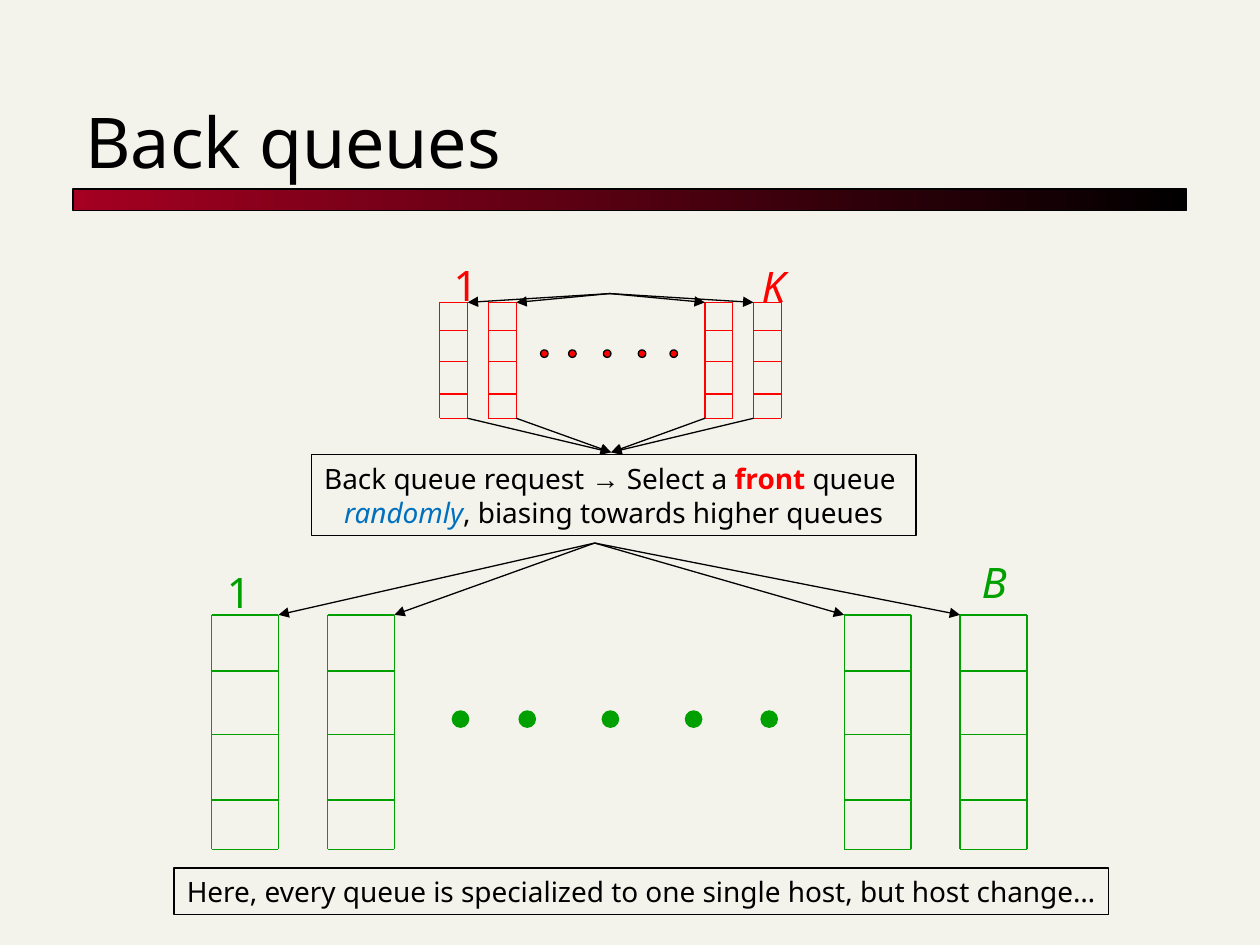
"""Build the "Back queues" slide: front queues feeding host-specific back queues."""
from pptx import Presentation, oxml, util as u
from pptx.dml.color import RGBColor
from pptx.enum import shapes, text
from pptx.oxml import ns

COLORS = {"paper": "F4F3EB", "black": "000000", "crimson": "A50021",
          "red": "FF0000", "green": "00A000", "blue": "0070C0"}
FONT = "Noto Sans"
COLUMNS = (0, 0.92, 5.02, 5.94)
COLUMN_WIDTH = 0.53
DOTS = (1.91, 2.44, 3.1, 3.76, 4.36)
DOT_LEVEL = 0.41
ROWS = (0, 0.24, 0.51, 0.79, 1)


def rgb(name):
    return RGBColor.from_string(COLORS[name])


def add_line(parent, start, end, color="black", arrow=False):
    s = parent.add_connector(shapes.MSO_CONNECTOR.STRAIGHT,
                             *(u.Inches(v) for v in (*start, *end)))
    s.line.color.rgb = rgb(color)
    s.line.width = u.Pt(0.75)
    if arrow:
        tail = oxml.parse_xml(f'<a:tailEnd {ns.nsdecls("a")} type="triangle"/>')
        s.line._get_or_add_ln().append(tail)
    s._element.spPr.append(oxml.parse_xml(f'<a:effectLst {ns.nsdecls("a")}/>'))


def add_shape(parent, kind, box, fill=None, line="black"):
    s = parent.add_shape(kind, *(u.Inches(v) for v in box))
    s.shadow.inherit = False
    if fill:
        s.fill.solid()
        s.fill.fore_color.rgb = rgb(fill)
    else:
        s.fill.background()
    s.line.color.rgb = rgb(line)
    s.line.width = u.Pt(0.75)
    return s


def write(s, paragraphs, size, align, anchor, fit=True):
    tf = s.text_frame
    tf.word_wrap = False
    tf.vertical_anchor = anchor
    if fit:
        tf.auto_size = text.MSO_AUTO_SIZE.SHAPE_TO_FIT_TEXT
    for i, runs in enumerate(paragraphs):
        p = tf.add_paragraph() if i else tf.paragraphs[0]
        p.alignment = align
        for words, color, style in runs:
            r = p.add_run()
            r.text = words
            r.font.size = u.Pt(size)
            r.font.name = "Arial" if words == "→" else FONT
            r.font.color.rgb = rgb(color)
            r.font.bold = style == "bold"
            r.font.italic = style == "italic"


def add_text(parent, box, words, size, color, align=text.PP_ALIGN.RIGHT,
             anchor=text.MSO_ANCHOR.TOP, style="", fit=True):
    s = parent.add_textbox(*(u.Inches(v) for v in box))
    write(s, [[(words, color, style)]], size, align, anchor, fit)


def add_box(parent, box, paragraphs):
    s = add_shape(parent, shapes.MSO_SHAPE.RECTANGLE, box)
    write(s, paragraphs, 16, text.PP_ALIGN.CENTER, text.MSO_ANCHOR.MIDDLE)


def add_title_bar(parent):
    s = add_shape(parent, shapes.MSO_SHAPE.RECTANGLE, (0.58, 1.5, 8.84, 0.17))
    s.fill.gradient()
    s.fill.gradient_angle = 0
    for stop, color, position in zip(s.fill.gradient_stops, ("crimson", "black"), (0, 1)):
        stop.color.rgb = rgb(color)
        stop.position = position


def add_queues(parent, left, top, span, height, color, dot, outline):
    """Draw four queues with dots between and return their inner edges."""
    scale = span / COLUMNS[-1]
    width = COLUMN_WIDTH * scale
    bottom = top + height
    inner = []
    for i, offset in enumerate(COLUMNS):
        x = left + offset * scale
        for side in (x, x + width):
            add_line(parent, (side, top), (side, bottom), color)
        for row in ROWS:
            y = top + row * height
            add_line(parent, (x, y), (x + width, y), color)
        inner.append(x + width if i < 2 else x)
    for offset in DOTS:
        add_shape(parent, shapes.MSO_SHAPE.OVAL,
                  (left + offset * scale, top + DOT_LEVEL * height, dot, dot), color, outline)
    return inner


def main():
    prs = Presentation()
    prs.slide_width, prs.slide_height = u.Inches(10), u.Inches(7.5)
    slide = prs.slides.add_slide(prs.slide_layouts[6])
    slide.background.fill.solid()
    slide.background.fill.fore_color.rgb = rgb("paper")
    canvas = slide.shapes

    add_title_bar(canvas)
    add_text(canvas, (0.58, 0.42, 8.83, 1.08), "Back queues", 40, "black",
             text.PP_ALIGN.LEFT, text.MSO_ANCHOR.BOTTOM, fit=False)

    add_box(canvas, (2.47, 3.61, 4.8, 0.64), [
        [("Back queue request ", "black", ""), ("→", "black", ""),
         (" Select a ", "black", ""), ("front", "red", "bold"), (" queue ", "black", "")],
        [("randomly", "blue", "italic"), (", biasing towards higher queues", "black", "")]])

    back = add_queues(canvas, 1.68, 4.88, 5.94, 1.86, "green", 0.13, "green")
    add_text(canvas, (1.7, 4.45, 0.39, 0.5), "1", 24, "green")
    add_text(canvas, (7.69, 4.37, 0.4, 0.5), "B", 24, "green", style="italic")
    for x in back:
        add_line(canvas, (4.72, 4.31), (x, 4.88), arrow=True)

    group = canvas.add_group_shape().shapes
    front = add_queues(group, 3.49, 2.4, 2.49, 0.92, "red", 0.06, "black")
    add_text(group, (3.5, 2.01, 0.39, 0.5), "1", 24, "red")
    add_text(group, (5.94, 2.02, 0.39, 0.5), "K", 24, "red", style="italic")
    for x in front:
        add_line(group, (4.84, 2.33), (x, 2.4), arrow=True)
        add_line(group, (x, 3.32), (4.85, 3.59), arrow=True)

    add_box(canvas, (1.38, 6.89, 7.42, 0.37), [
        [("Here, every queue is specialized to one single host, but host change…", "black", "")]])
    prs.save("out.pptx")


if __name__ == "__main__":
    main()
